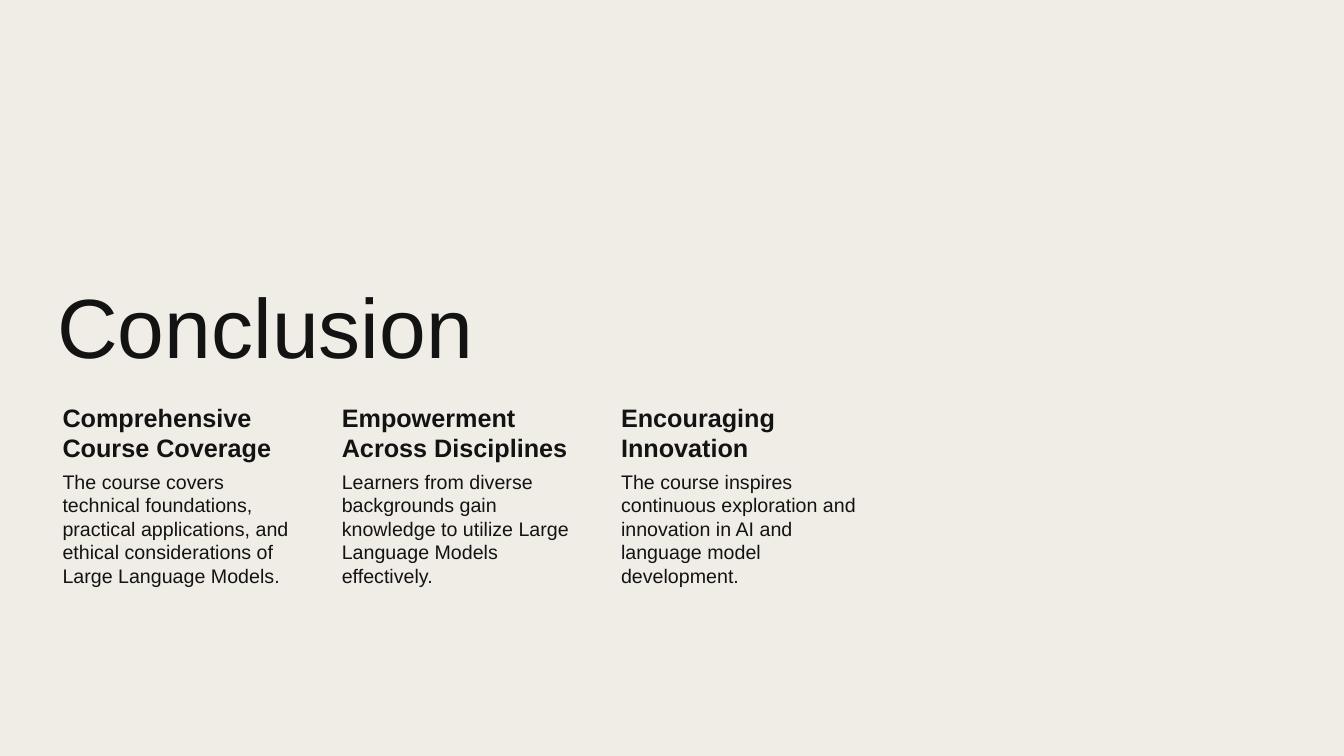
from pptx import Presentation
from pptx.dml.color import RGBColor
from pptx.enum.text import MSO_ANCHOR
from pptx.util import Inches, Pt

TOP, BOTTOM = MSO_ANCHOR.TOP, MSO_ANCHOR.BOTTOM
INK, PAPER = "131313", "F0EDE6"

TITLE_FONT = {"name": "Arial", "size": Pt(60), "bold": False}
HEADING_FONT = {"name": "Arial", "size": Pt(18), "bold": True}
BODY_FONT = {"name": "Arial", "size": Pt(14), "bold": False}

TAKEAWAYS = [
    ("Comprehensive Course Coverage",
     "The course covers technical foundations, practical applications, and "
     "ethical considerations of Large Language Models."),
    ("Empowerment Across Disciplines",
     "Learners from diverse backgrounds gain knowledge to utilize Large "
     "Language Models effectively."),
    ("Encouraging Innovation",
     "The course inspires continuous exploration and innovation in AI and "
     "language model development."),
]


def color(hex_value):
    return RGBColor.from_string(hex_value)


def add_text(shapes, box, text, font, margins, anchor=TOP, line_spacing=1.0):
    shape = shapes.add_textbox(*(Inches(length) for length in box))
    left, top, right, bottom = (Inches(margin) for margin in margins)
    frame_format = {
        "word_wrap": True, "vertical_anchor": anchor,
        "margin_left": left, "margin_top": top,
        "margin_right": right, "margin_bottom": bottom,
    }
    for name, value in frame_format.items():
        setattr(shape.text_frame, name, value)
    paragraph = shape.text_frame.paragraphs[0]
    paragraph.line_spacing = line_spacing
    run = paragraph.add_run()
    run.text = text
    for name, value in font.items():
        setattr(run.font, name, value)
    run.font.color.rgb = color(INK)


def add_title(slide, box, text):
    add_text(slide.shapes, box, text, TITLE_FONT, (0.1, 0.05, 0.1, 0.05),
             BOTTOM, 0.9)


def add_takeaways(slide, box, takeaways, gap=0.25, heading_height=0.68):
    left, top, width, height = box
    column_width = (width - gap * (len(takeaways) - 1)) / len(takeaways)
    for index, (heading, body) in enumerate(takeaways):
        column_left = left + index * (column_width + gap)
        group = slide.shapes.add_group_shape()
        # Heading above its description
        add_text(group.shapes, (column_left, top, column_width, heading_height),
                 heading, HEADING_FONT, (0.15, 0.03, 0.03, 0.03))
        add_text(group.shapes,
                 (column_left, top + heading_height, column_width,
                  height - heading_height),
                 body, BODY_FONT, (0.15, 0.02, 0.02, 0.02))


def main():
    presentation = Presentation()
    presentation.slide_width = Inches(13.33)
    presentation.slide_height = Inches(7.5)
    slide = presentation.slides.add_slide(presentation.slide_layouts[6])

    # Background
    fill = slide.background.fill
    fill.solid()
    fill.fore_color.rgb = color(PAPER)

    # Title and the three columns below it
    add_title(slide, (0.47, 1.78, 8.06, 2.01), "Conclusion")
    add_takeaways(slide, (0.47, 3.96, 8.06, 2.44), TAKEAWAYS)

    presentation.save("out.pptx")


if __name__ == "__main__":
    main()
